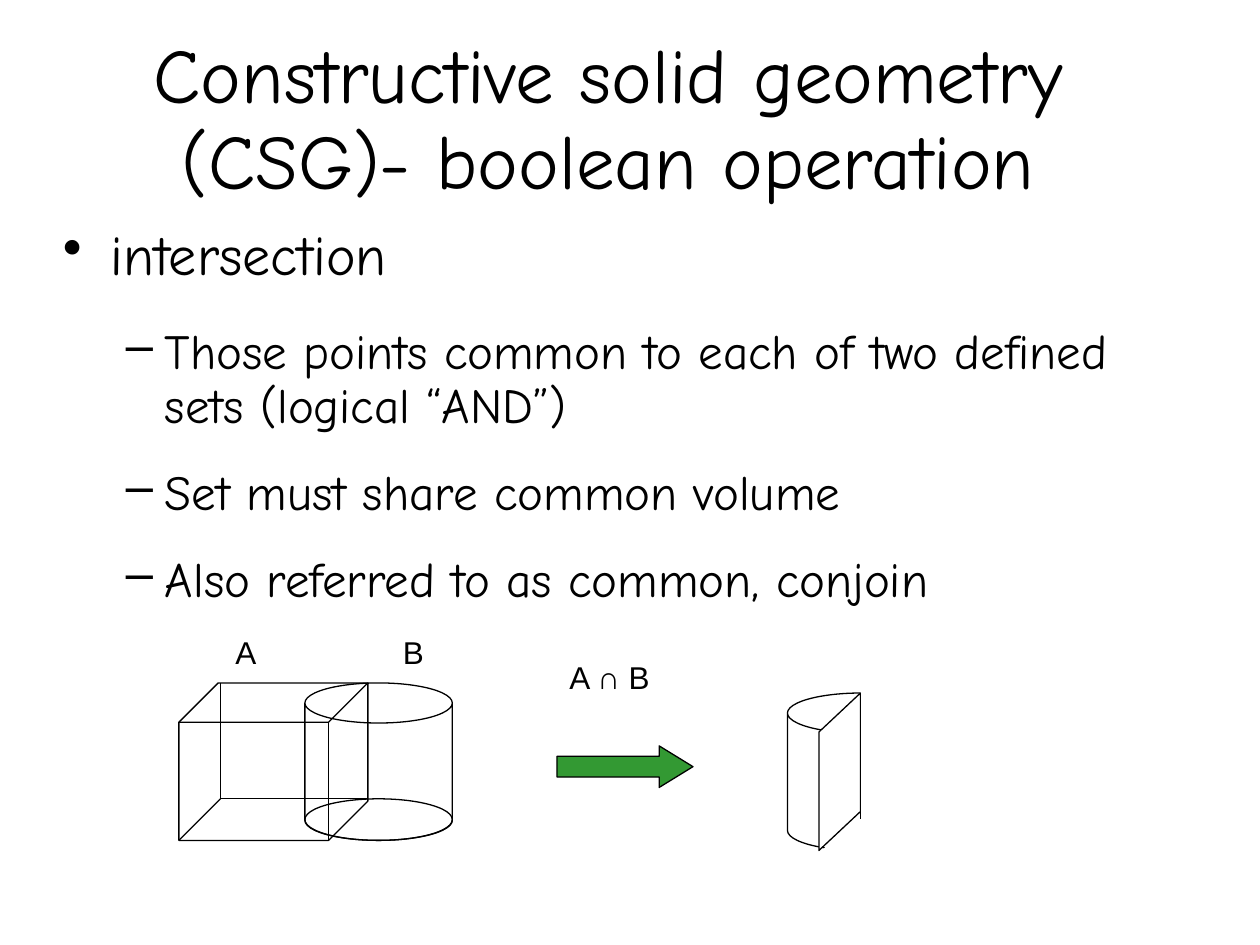
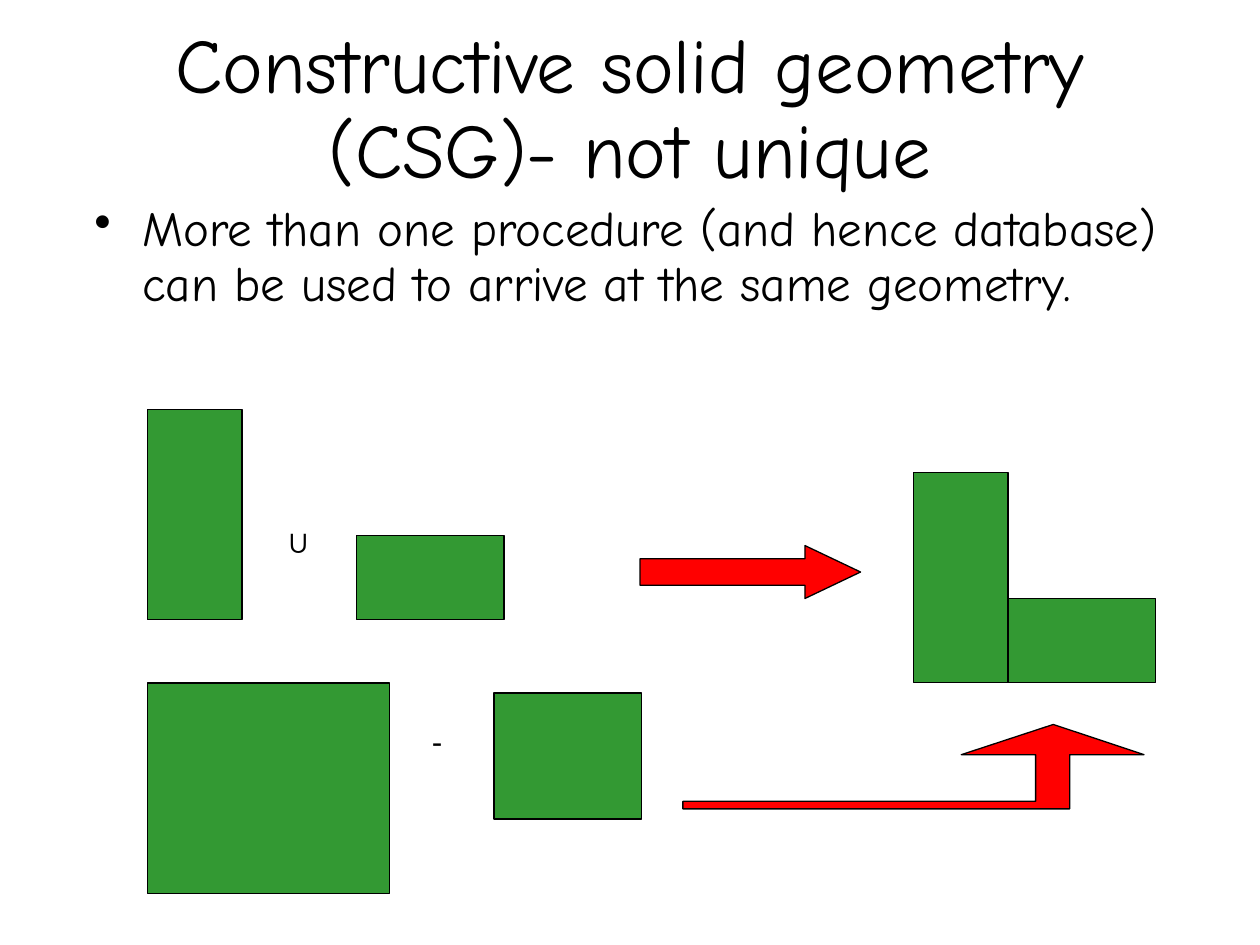
from lxml import etree
from pptx import Presentation
from pptx.dml.color import RGBColor
from pptx.enum import shapes, text
from pptx.oxml import ns
from pptx.util import Inches, Pt

BLACK, WHITE, GREEN, RED = "000000", "FFFFFF", "339933", "FF0000"
HAND, PLAIN = "Comic Neue", "Arial"
TITLE_SIZE, LABEL_SIZE, LINE_WIDTH, LINE_SPACING = 44, 18, 0.75, 0.93
KIND = shapes.MSO_SHAPE

# Bullet levels: character, left margin, hanging indent, space before and after
LEVELS = [("•", 0.38, 0.38, 8, 14.3), ("–", 0.81, 0.31, 7, 11.4)]

INTERSECTION = {
    "title": ("Constructive solid geometry (CSG)- boolean operation", (0.33, 0.33, 9, 1.25)),
    "body_box": (0.5, 1.76, 9, 4.95),
    "bullets": [
        (0, 32, "intersection"),
        (1, 28, "Those points common to each of two defined sets (logical “AND”)"),
        (1, 28, "Set must share common volume"),
        (1, 28, "Also referred to as common, conjoin"),
    ],
    "labels": [
        ("A ∩ B", (4.42, 5.2, 0.87, 0.38), False),
        ("A", (1.77, 5, 0.36, 0.38), False),
        ("B", (3.1, 5, 0.36, 0.38), False),
    ],
}
NOT_UNIQUE = {
    "title": ("Constructive solid geometry (CSG)- not unique", (0.75, 0.25, 8.5, 1.25)),
    "body_box": (0.75, 1.58, 8.5, 1.08),
    "bullets": [
        (0, 28, "More than one procedure (and hence database) can be used "
                "to arrive at the same geometry."),
    ],
    "labels": [
        ("∪", (2.18, 4.12, 0.4, 0.38), True),
        ("-", (3.33, 5.71, 0.28, 0.38), False),
    ],
}

# Left, top, width and height of each cube, cylinder or block
CUBE = (1.42, 5.42, 1.5, 1.25)
CYLINDER = (2.42, 5.42, 1.17, 1.25)
DEPTH = 0.33
TALL, LOW = (0.75, 1.67), (1.17, 0.67)
L_SHAPE_CORNER = (8, 5.42)
OPERANDS = [
    (1.17, 3.25, *TALL),
    (2.83, 4.25, *LOW),
    (1.17, 5.42, 1.92, 1.67),
    (3.92, 5.5, 1.17, 1),
]
BENT_ARROW = [(8.36, 5.75), (7.63, 5.99), (8.22, 5.99), (8.22, 6.36), (5.42, 6.36),
              (5.42, 6.42), (8.49, 6.42), (8.49, 5.99), (9.08, 5.99)]


def color(hex_string):
    return RGBColor.from_string(hex_string)


def inches(values):
    return [Inches(value) for value in values]


def style(shape, fill=None, line=BLACK):
    shape.shadow.inherit = False
    if fill:
        shape.fill.solid()
        shape.fill.fore_color.rgb = color(fill)
    else:
        shape.fill.background()
    if line:
        shape.line.color.rgb = color(line)
        shape.line.width = Pt(LINE_WIDTH)
    else:
        shape.line.fill.background()
    return shape


def add_solid(slide, kind, box, adjust=(), **look):
    shape = slide.shapes.add_shape(kind, *inches(box))
    for index, value in enumerate(adjust):
        shape.adjustments[index] = value
    return style(shape, **look)


def add_edge(slide, start, end):
    edge = slide.shapes.add_connector(shapes.MSO_CONNECTOR.STRAIGHT, *inches(start + end))
    edge.line.color.rgb = color(BLACK)
    edge.line.width = Pt(LINE_WIDTH)
    etree.SubElement(edge._element.spPr, ns.qn("a:effectLst"))


def write(paragraph, words, size=LABEL_SIZE, font=PLAIN, bold=False, align=None):
    paragraph.line_spacing = LINE_SPACING
    paragraph.alignment = align
    run = paragraph.add_run()
    run.text = words
    run.font.size = Pt(size)
    run.font.name = font
    run.font.bold = bold
    run.font.color.rgb = color(BLACK)


def add_frame(slide, box, margins=(0, 0, 0, 0), wrap=True):
    frame = slide.shapes.add_textbox(*inches(box)).text_frame
    frame.word_wrap = wrap
    (frame.margin_left, frame.margin_top,
     frame.margin_right, frame.margin_bottom) = inches(margins)
    return frame


def set_bullet(paragraph, level, first):
    character, margin, hanging, before, after = LEVELS[level]
    properties = paragraph._p.get_or_add_pPr()
    properties.set("marL", str(Inches(margin)))
    properties.set("indent", str(-Inches(hanging)))
    bullet_color = etree.SubElement(properties, ns.qn("a:buClr"))
    etree.SubElement(bullet_color, ns.qn("a:srgbClr"), val=BLACK)
    etree.SubElement(properties, ns.qn("a:buChar"), char=character)
    paragraph.level = level
    paragraph.space_before = Pt(0 if first else before)
    paragraph.space_after = Pt(after)


def add_text_slide(presentation, content):
    """Add a slide with its title, bullets and diagram labels."""
    slide = presentation.slides.add_slide(presentation.slide_layouts[6])
    words, box = content["title"]
    title = add_frame(slide, box)
    title.vertical_anchor = text.MSO_ANCHOR.MIDDLE
    write(title.paragraphs[0], words, size=TITLE_SIZE, font=HAND, align=text.PP_ALIGN.CENTER)

    body = add_frame(slide, content["body_box"], margins=(0, 0.03, 0, 0))
    for index, (level, size, words) in enumerate(content["bullets"]):
        paragraph = body.add_paragraph() if index else body.paragraphs[0]
        set_bullet(paragraph, level, first=index == 0)
        write(paragraph, words, size=size, font=HAND)

    for words, box, bold in content["labels"]:
        label = add_frame(slide, box, margins=(0.1, 0.05, 0.1, 0.05), wrap=False)
        label.auto_size = text.MSO_AUTO_SIZE.SHAPE_TO_FIT_TEXT
        write(label.paragraphs[0], words, bold=bold)
    return slide


def draw_overlapping_solids(slide):
    left, top, width, height = CUBE
    add_solid(slide, KIND.CUBE, CUBE, [0.25])
    add_solid(slide, KIND.CAN, CYLINDER, [0.272])
    hidden_corner = (left + DEPTH, top + height - DEPTH)
    for end in [(left + DEPTH, top), (left, top + height), (left + width, hidden_corner[1])]:
        add_edge(slide, hidden_corner, end)
    add_solid(slide, KIND.OVAL, (CYLINDER[0], hidden_corner[1], CYLINDER[2], DEPTH))


def draw_common_volume(slide):
    """Draw a cylinder, then hide all of it but the slice shared with the cube."""
    add_solid(slide, KIND.CAN, (6.25, 5.5, 1.17, 1.25), [0.272])
    cut_face = add_solid(slide, KIND.PARALLELOGRAM, (6.04, 5.96, 1.25, DEPTH), [0.938], fill=WHITE)
    cut_face.rotation = 90
    cut_face._element.spPr.find(ns.qn("a:xfrm")).set("flipH", "1")
    add_solid(slide, KIND.RECTANGLE, (6.83, 5.42, 0.75, 1.5), fill=WHITE, line=None)
    add_solid(slide, KIND.PARALLELOGRAM, (6.33, 6.67, 0.67, 0.25), [1.12], fill=WHITE, line=None)
    add_edge(slide, (6.83, 5.5), (6.83, 6.5))


def draw_two_procedures(slide):
    corner_x, base = L_SHAPE_CORNER
    result = [(corner_x - TALL[0], base - TALL[1], *TALL), (corner_x, base - LOW[1], *LOW)]
    for block in result + OPERANDS:
        add_solid(slide, KIND.RECTANGLE, block, fill=GREEN)
    add_solid(slide, KIND.RIGHT_ARROW, (5.08, 4.33, 1.75, 0.42), [0.5, 1.05], fill=RED)
    points = [inches(point) for point in BENT_ARROW]
    builder = slide.shapes.build_freeform(*points[0])
    builder.add_line_segments(points[1:], close=True)
    style(builder.convert_to_shape(), fill=RED)


def main():
    presentation = Presentation()
    presentation.slide_width, presentation.slide_height = Inches(10), Inches(7.5)

    intersection = add_text_slide(presentation, INTERSECTION)
    draw_overlapping_solids(intersection)
    add_solid(intersection, KIND.RIGHT_ARROW, (4.42, 5.92, 1.08, 0.33), [0.5, 0.813], fill=GREEN)
    draw_common_volume(intersection)

    draw_two_procedures(add_text_slide(presentation, NOT_UNIQUE))
    presentation.save("out.pptx")


if __name__ == "__main__":
    main()
